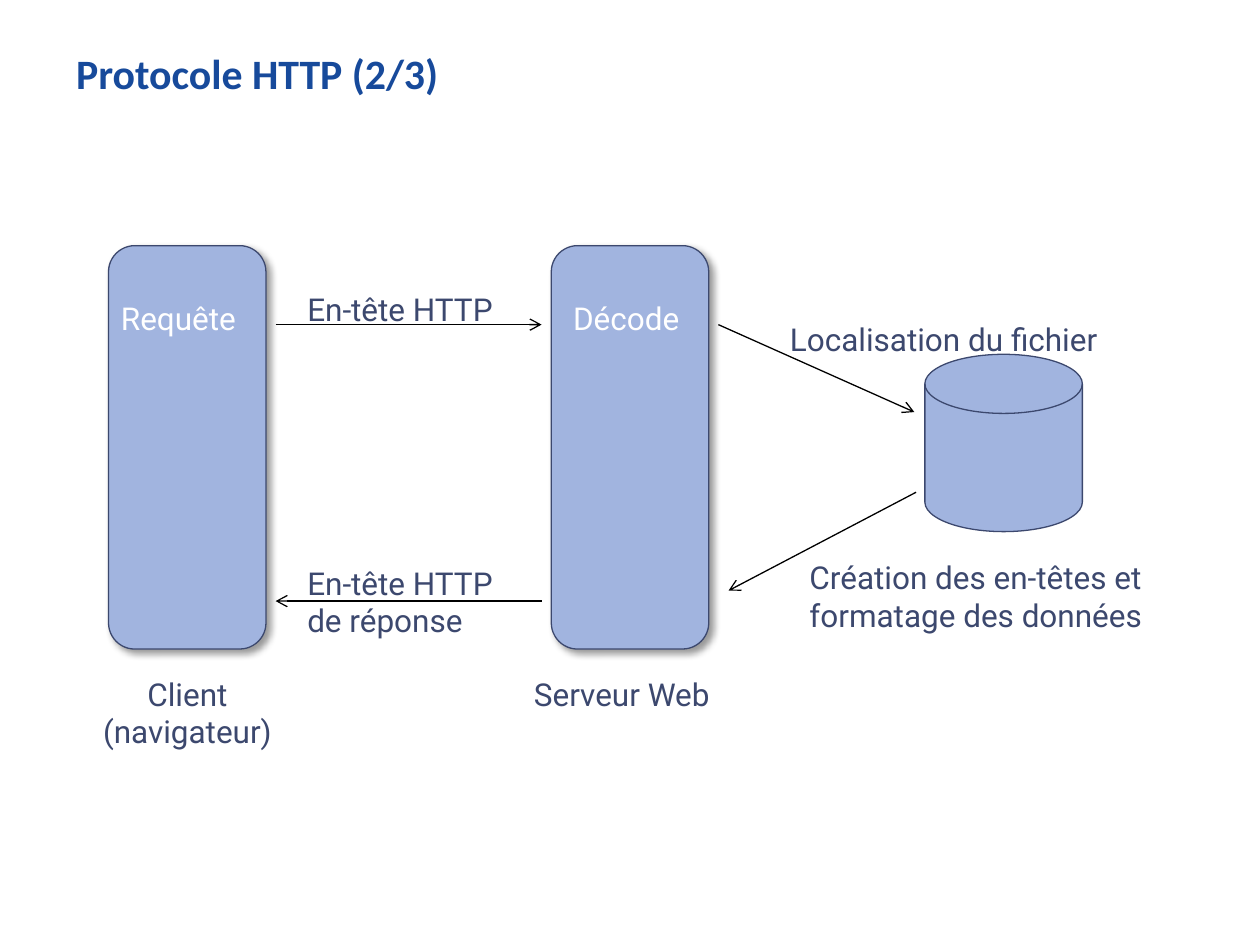
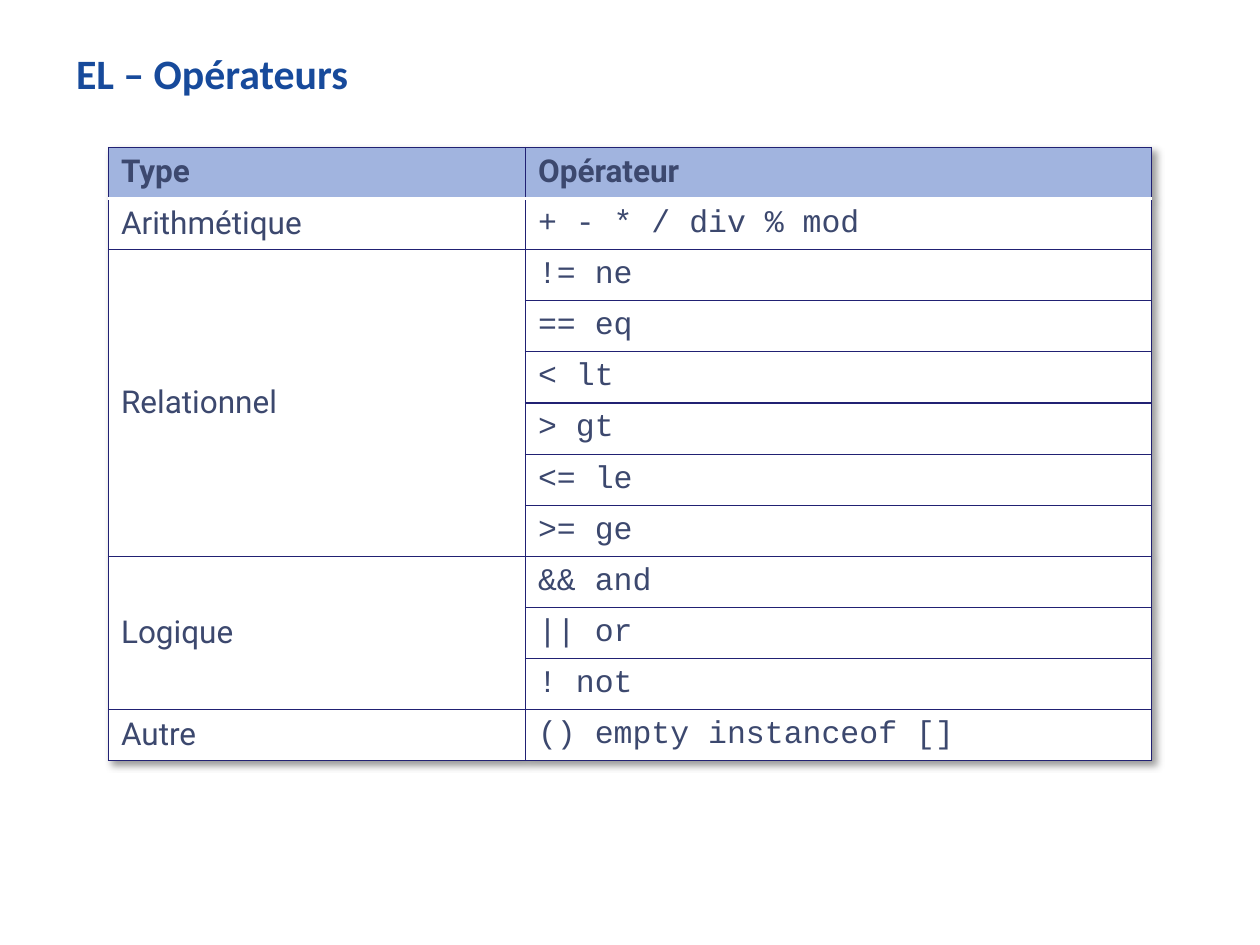
from dataclasses import dataclass
from typing import Any

import pptx
import pptx.dml.color
import pptx.enum.shapes
import pptx.enum.text
import pptx.oxml
import pptx.oxml.ns
import pptx.util

Pt = pptx.util.Pt
RGB = pptx.dml.color.RGBColor
Shapes = pptx.enum.shapes.MSO_SHAPE
Align = pptx.enum.text.PP_ALIGN
Anchor = pptx.enum.text.MSO_ANCHOR
NS = pptx.oxml.ns.nsdecls("a")


@dataclass(frozen=True)
class Theme:
    title: str = "174A9B"
    text: str = "3C486E"
    panel: str = "A1B4DF"
    white: str = "FFFFFF"
    arrow: str = "000000"
    grid: str = "212173"
    title_font: str = "Calibri"
    body_font: str = "Roboto"
    code_font: str = "Courier New"
    title_size: float = 23.9
    body_size: float = 18
    hairline: float = 0.75
    header_rule: float = 2
    loose: float = 2.26


THEME = Theme()


@dataclass(frozen=True)
class Block:
    kind: Any
    left: float
    top: float
    width: float
    height: float
    shadow: bool = False


@dataclass(frozen=True)
class Label:
    lines: tuple[str, ...]
    left: float
    top: float
    width: float
    height: float
    color: str = THEME.text
    spacing: float = 1
    align: Any = Align.LEFT


@dataclass(frozen=True)
class Arrow:
    start: tuple[float, float]
    end: tuple[float, float]


@dataclass(frozen=True)
class OperatorGroup:
    name: str
    operators: tuple[str, ...]


# Shared styling
def style(paragraph: Any, font: str, size: float, color: str, bold: bool = False) -> None:
    paragraph.font.name = font
    paragraph.font.size = Pt(size)
    paragraph.font.bold = bold
    paragraph.font.color.rgb = RGB.from_string(color)


def drop_shadow() -> Any:
    return pptx.oxml.parse_xml(
        f'<a:effectLst {NS}><a:outerShdw blurRad="{Pt(4)}" dist="{Pt(3)}" dir="2700000" '
        'algn="tl" rotWithShape="0"><a:srgbClr val="000000"><a:alpha val="40000"/>'
        "</a:srgbClr></a:outerShdw></a:effectLst>")


def add_title_slide(deck: Any, title: str) -> Any:
    slide = deck.slides.add_slide(deck.slide_layouts[6])
    frame = slide.shapes.add_textbox(Pt(35.5), Pt(23), Pt(649), Pt(46)).text_frame
    frame.word_wrap = True
    frame.margin_left = frame.margin_right = Pt(8)
    frame.margin_top = frame.margin_bottom = Pt(4.3)
    frame.text = title
    style(frame.paragraphs[0], THEME.title_font, THEME.title_size, THEME.title, True)
    return slide


# Diagram parts
def draw_block(slide: Any, block: Block) -> None:
    shape = slide.shapes.add_shape(
        block.kind, Pt(block.left), Pt(block.top), Pt(block.width), Pt(block.height))
    shape.fill.solid()
    shape.fill.fore_color.rgb = RGB.from_string(THEME.panel)
    shape.line.color.rgb = RGB.from_string(THEME.text)
    shape.line.width = Pt(THEME.hairline)
    if block.shadow:
        shape._element.spPr.append(drop_shadow())
    else:
        shape.shadow.inherit = False


def draw_label(slide: Any, label: Label) -> None:
    frame = slide.shapes.add_textbox(
        Pt(label.left), Pt(label.top), Pt(label.width), Pt(label.height)).text_frame
    frame.word_wrap = True
    frame.text = "\n".join(label.lines)
    for paragraph in frame.paragraphs:
        style(paragraph, THEME.body_font, THEME.body_size, label.color)
        paragraph.line_spacing = label.spacing
        paragraph.alignment = label.align


def draw_arrow(slide: Any, arrow: Arrow) -> None:
    line = slide.shapes.add_connector(
        pptx.enum.shapes.MSO_CONNECTOR.STRAIGHT,
        *(Pt(value) for value in arrow.start + arrow.end))
    line.line.color.rgb = RGB.from_string(THEME.arrow)
    line.line.width = Pt(THEME.hairline)
    line.line._get_or_add_ln().append(pptx.oxml.parse_xml(f'<a:tailEnd {NS} type="arrow"/>'))
    line._element.spPr.append(pptx.oxml.parse_xml(f"<a:effectLst {NS}/>"))


# Table parts
def fill_cell(cell: Any, color: str, top: str, bottom: str) -> None:
    cell.fill.solid()
    cell.fill.fore_color.rgb = RGB.from_string(color)
    borders = {"L": THEME.grid, "R": THEME.grid, "T": top, "B": bottom}
    for position, (side, border) in enumerate(borders.items()):
        width = THEME.header_rule if border == THEME.white else THEME.hairline
        cell._tc.get_or_add_tcPr().insert(position, pptx.oxml.parse_xml(
            f'<a:ln{side} {NS} w="{Pt(width)}"><a:solidFill><a:srgbClr val="{border}"/>'
            f"</a:solidFill></a:ln{side}>"))


def write_cell(cell: Any, text: str, font: str, bold: bool = False) -> None:
    cell.text = text
    cell.vertical_anchor = Anchor.TOP if bold else Anchor.MIDDLE
    style(cell.text_frame.paragraphs[0], font, THEME.body_size, THEME.text, bold)


# Slide 1: request and response
def build_http(deck: Any) -> None:
    slide = add_title_slide(deck, "Protocole HTTP (2/3)")
    top, client, server = 140.4, 62, 315
    request_y, response_y = 185.5, 343.5
    near_client, near_server = 157.5, 309.5
    exchange_left, caption_top = 168.5, 382

    for block in (
        Block(Shapes.ROUNDED_RECTANGLE, client, top, 90, 230.5, True),
        Block(Shapes.ROUNDED_RECTANGLE, server, top, 90, 230.5, True),
        Block(Shapes.FLOWCHART_MAGNETIC_DISK, 528.5, 202.5, 90, 101.3),
    ):
        draw_block(slide, block)

    for arrow in (
        Arrow((near_client, request_y), (near_server, request_y)),
        Arrow((410.5, request_y), (522.5, 235.5)),
        Arrow((523.5, 281.3), (416.3, 337.5)),
        Arrow((near_server, response_y), (near_client, response_y)),
    ):
        draw_arrow(slide, arrow)

    for label in (
        Label(("Requête",), client, top, 96, 56, THEME.white, THEME.loose),
        Label(("Décode",), 320.4, top, 96, 56, THEME.white, THEME.loose),
        Label(("En-tête HTTP",), exchange_left, 135, 135, 56, spacing=THEME.loose),
        Label(("Localisation du fichier",), 444.3, 152, 222, 49, spacing=THEME.loose),
        Label(("Création des en-têtes et formatage des données",), 455.5, 315.3, 230.4, 51),
        Label(("En-tête HTTP", "de réponse"), exchange_left, 318.5, 135, 51),
        Label(("Client (navigateur)",), 39.6, caption_top, 135, 51, align=Align.CENTER),
        Label(("Serveur Web",), 298, caption_top, 135, 29),
    ):
        draw_label(slide, label)


# Slide 2: operator table
def build_operators(deck: Any) -> None:
    slide = add_title_slide(deck, "EL – Opérateurs")
    groups = (
        OperatorGroup("Arithmétique", ("+ - * / div % mod",)),
        OperatorGroup("Relationnel", ("!= ne", "== eq", "< lt", "> gt", "<= le", ">= ge")),
        OperatorGroup("Logique", ("&& and", "|| or", "! not")),
        OperatorGroup("Autre", ("() empty instanceof []",)),
    )
    row_count = 1 + sum(len(group.operators) for group in groups)
    table = slide.shapes.add_table(
        row_count, 2, Pt(62), Pt(84.3), Pt(596), Pt(29.2 * row_count)).table
    table.first_row = table.horz_banding = False
    table._tbl.tblPr.insert(0, drop_shadow())
    for column, width in zip(table.columns, (238.3, 357.7)):
        column.width = Pt(width)

    for row in range(row_count):
        for column in range(2):
            fill_cell(table.cell(row, column),
                      THEME.white if row else THEME.panel,
                      THEME.white if row == 1 else THEME.grid,
                      THEME.grid if row else THEME.white)

    for column, heading in enumerate(("Type", "Opérateur")):
        write_cell(table.cell(0, column), heading, THEME.body_font, True)
    first = 1
    for group in groups:
        last = first + len(group.operators) - 1
        if last > first:
            table.cell(first, 0).merge(table.cell(last, 0))
        write_cell(table.cell(first, 0), group.name, THEME.body_font)
        for row, operator in enumerate(group.operators, first):
            write_cell(table.cell(row, 1), operator, THEME.code_font)
        first = last + 1


def main() -> None:
    deck = pptx.Presentation()
    deck.slide_width, deck.slide_height = Pt(720), Pt(540)
    build_http(deck)
    build_operators(deck)
    deck.save("out.pptx")


if __name__ == "__main__":
    main()
